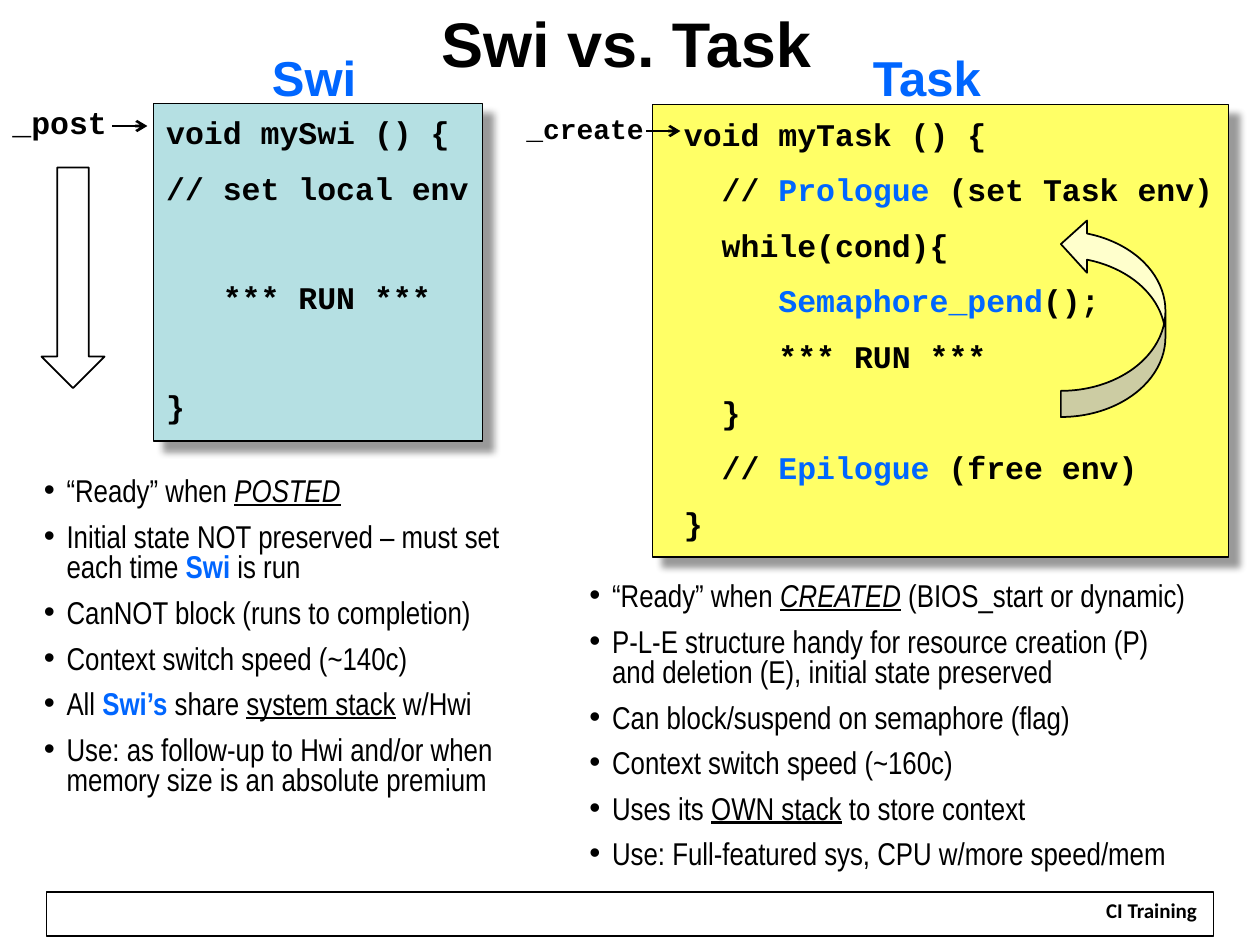
from dataclasses import dataclass
from typing import NamedTuple

import pptx
import pptx.dml.color
import pptx.enum.shapes
import pptx.enum.text
import pptx.oxml
import pptx.oxml.ns
import pptx.util
from pptx.util import Inches

BLACK, BLUE, WHITE = "000000", "0066FF", "FFFFFF"
CODE_FONT = "Courier New"
CODE_GAP, BULLET_GAP, CODE_PITCH = 10.2, 8.8, 30.6
SHAPES = pptx.enum.shapes.MSO_SHAPE
ALIGN = pptx.enum.text.PP_ALIGN
ANCHOR = pptx.enum.text.MSO_ANCHOR


class Box(NamedTuple):
    left: float
    top: float
    width: float
    height: float


class Run(NamedTuple):
    text: str
    color: str = BLACK
    bold: bool = False
    italic: bool = False
    underline: bool = False


@dataclass
class Style:
    font: str
    size: float
    bold: bool = False
    line_spacing: float = 1.0
    gap: float = 0
    align: ALIGN = ALIGN.LEFT
    bullet: bool = False


@dataclass
class Label:
    text: str
    box: Box
    style: Style
    color: str = BLACK


TITLE = Style("Arial", 36, True, align=ALIGN.CENTER)
HEADING = Style("Arial", 28, True, 0.8)
CODE = Style(CODE_FONT, 18, True, gap=CODE_GAP)
POST = Style(CODE_FONT, 18, True, 0.8)
CREATE = Style(CODE_FONT, 16, True, 0.8)
BULLETS = Style("Arial Narrow", 18, line_spacing=0.8, gap=BULLET_GAP, bullet=True)
FOOTER = Style("Calibri", 12, True, 0.8, align=ALIGN.CENTER)

# Each line is a list of runs; an empty list leaves one line of space.
SWI_CODE = [
    [Run("void mySwi () {")],
    [Run("// set local env")],
    [],
    [Run("   *** RUN ***")],
    [],
    [Run("}")],
]
TASK_CODE = [
    [Run(" void myTask () {")],
    [Run("   // "), Run("Prologue", BLUE), Run(" (set Task env)")],
    [Run("   while(cond){")],
    [Run("      "), Run("Semaphore_pend", BLUE), Run("();")],
    [Run("      *** RUN ***")],
    [Run("   }")],
    [Run("   // "), Run("Epilogue", BLUE), Run(" (free env)")],
    [Run(" }")],
]
SWI_POINTS = [
    [Run("“Ready” when "), Run("POSTED", italic=True, underline=True)],
    [Run("Initial state NOT preserved – must set\neach time "),
     Run("Swi", BLUE, bold=True), Run(" is run")],
    [Run("CanNOT block (runs to completion)")],
    [Run("Context switch speed (~140c)")],
    [Run("All "), Run("Swi’s", BLUE, bold=True), Run(" share "),
     Run("system stack", underline=True), Run(" w/Hwi")],
    [Run("Use: as follow-up to Hwi and/or when\nmemory size is an absolute premium")],
]
TASK_POINTS = [
    [Run("“Ready” when "), Run("CREATED", italic=True, underline=True),
     Run(" (BIOS_start or dynamic)")],
    [Run("P-L-E structure handy for resource creation (P)\n"
         "and deletion (E), initial state preserved")],
    [Run("Can block/suspend on semaphore (flag)")],
    [Run("Context switch speed (~160c)")],
    [Run("Uses its "), Run("OWN stack", underline=True), Run(" to store context")],
    [Run("Use: Full-featured sys, CPU w/more speed/mem")],
]
LABELS = [
    Label("Swi vs. Task", Box(-0.03, -0.07, 10, 0.81), TITLE),
    Label("Swi", Box(2.06, 0.42, 0.88, 0.48), HEADING, BLUE),
    Label("Task", Box(6.83, 0.42, 1.07, 0.48), HEADING, BLUE),
    Label("_post", Box(0, 0.83, 0.96, 0.34), POST),
    Label("_create", Box(4.08, 0.89, 1.15, 0.32), CREATE),
]


def rgb(color: str) -> pptx.dml.color.RGBColor:
    return pptx.dml.color.RGBColor.from_string(color)


def drawing_xml(markup: str):
    """Parse one DrawingML element, given with its closing slash left out."""
    return pptx.oxml.parse_xml(markup.replace(" ", f" {pptx.oxml.ns.nsdecls('a')} ", 1))


def add_bullet(paragraph) -> None:
    properties = paragraph._p.get_or_add_pPr()
    properties.set("marL", str(Inches(0.18)))
    properties.set("indent", str(-Inches(0.18)))
    properties.append(drawing_xml('<a:buFont typeface="Arial"/>'))
    properties.append(drawing_xml('<a:buChar char="•"/>'))


def add_run(paragraph, run: Run, style: Style) -> None:
    for number, part in enumerate(run.text.split("\n")):
        if number:
            paragraph.add_line_break()
        text_run = paragraph.add_run()
        text_run.text = part
        font = text_run.font
        font.name, font.size = style.font, pptx.util.Pt(style.size)
        font.bold = style.bold or run.bold
        font.italic, font.underline = run.italic, run.underline
        font.color.rgb = rgb(run.color)


def write(shape, lines: list, style: Style, wrap: bool = False,
          anchor: ANCHOR = ANCHOR.TOP) -> None:
    frame = shape.text_frame
    frame.word_wrap, frame.vertical_anchor = wrap, anchor
    paragraph, gap = None, 0
    for runs in lines:
        if not runs:
            gap += CODE_PITCH
            continue
        paragraph = frame.add_paragraph() if paragraph else frame.paragraphs[0]
        if style.bullet:
            add_bullet(paragraph)
        paragraph.alignment = style.align
        paragraph.line_spacing = style.line_spacing
        paragraph.space_before = pptx.util.Pt(gap)
        for run in runs:
            add_run(paragraph, run, style)
        gap = style.gap


def add_shape(slide, kind: SHAPES, box: Box, fill: str | None, line_width: float = 0):
    shape = slide.shapes.add_shape(kind, *map(Inches, box))
    shape.shadow.inherit = False
    if fill:
        shape.fill.solid()
        shape.fill.fore_color.rgb = rgb(fill)
    else:
        shape.fill.background()
    if line_width:
        shape.line.color.rgb = rgb(BLACK)
        shape.line.width = pptx.util.Pt(line_width)
    else:
        shape.line.fill.background()
    return shape


def add_text(slide, box: Box, lines: list, style: Style, **layout) -> None:
    write(slide.shapes.add_textbox(*map(Inches, box)), lines, style, **layout)


def add_code(slide, box: Box, fill: str, line_width: float, lines: list) -> None:
    shape = add_shape(slide, SHAPES.RECTANGLE, box, fill, line_width)
    effects = shape._element.spPr.find(pptx.oxml.ns.qn("a:effectLst"))
    effects.append(drawing_xml(
        f'<a:outerShdw blurRad="{pptx.util.Pt(4)}" dist="{pptx.util.Pt(8)}" dir="2700000" '
        f'algn="ctr" rotWithShape="0"><a:srgbClr val="{BLACK}"><a:alpha val="40000"/>'
        '</a:srgbClr></a:outerShdw>'))
    write(shape, lines, CODE)
    shape.text_frame.margin_top = Inches(0.08)


def add_arrow(slide, start: float, end: float, y: float) -> None:
    arrow = slide.shapes.add_connector(
        pptx.enum.shapes.MSO_CONNECTOR.STRAIGHT, *map(Inches, (start, y, end, y)))
    arrow.line.color.rgb = rgb(BLACK)
    arrow.line.width = pptx.util.Pt(1.5)
    arrow.line._get_or_add_ln().append(drawing_xml('<a:tailEnd type="arrow"/>'))
    arrow._element.spPr.append(drawing_xml("<a:effectLst />"))


def main() -> None:
    presentation = pptx.Presentation()
    presentation.slide_width, presentation.slide_height = Inches(10), Inches(7.5)
    slide = presentation.slides.add_slide(presentation.slide_layouts[6])

    add_shape(slide, SHAPES.RECTANGLE, Box(0.37, 7.08, 9.26, 0.35), None, 0.75)
    footer = add_shape(slide, SHAPES.RECTANGLE, Box(8.67, 7.11, 0.94, 0.3), WHITE)
    write(footer, [[Run("CI Training")]], FOOTER)

    add_code(slide, Box(5.18, 0.83, 4.57, 3.59), "FFFF66", 1, TASK_CODE)
    loop = add_shape(slide, SHAPES.CURVED_LEFT_ARROW, Box(8.42, 1.73, 0.83, 1.58), "FFFFCC", 1)
    loop._element.spPr.xfrm.set("flipV", "1")
    add_code(slide, Box(1.22, 0.82, 2.61, 2.68), "B5E0E3", 0.75, SWI_CODE)
    add_shape(slide, SHAPES.DOWN_ARROW, Box(0.33, 1.33, 0.5, 1.75), WHITE, 1)

    for label in LABELS:
        add_text(slide, label.box, [[Run(label.text, label.color)]], label.style,
                 anchor=ANCHOR.MIDDLE if label.style is TITLE else ANCHOR.TOP)
    add_arrow(slide, 0.89, 1.17, 1)
    add_arrow(slide, 5.13, 5.4, 1.04)
    add_text(slide, Box(0.25, 3.75, 3.86, 2.8), SWI_POINTS, BULLETS, wrap=True)
    add_text(slide, Box(4.58, 4.58, 5.5, 2.55), TASK_POINTS, BULLETS, wrap=True)
    presentation.save("out.pptx")


if __name__ == "__main__":
    main()
